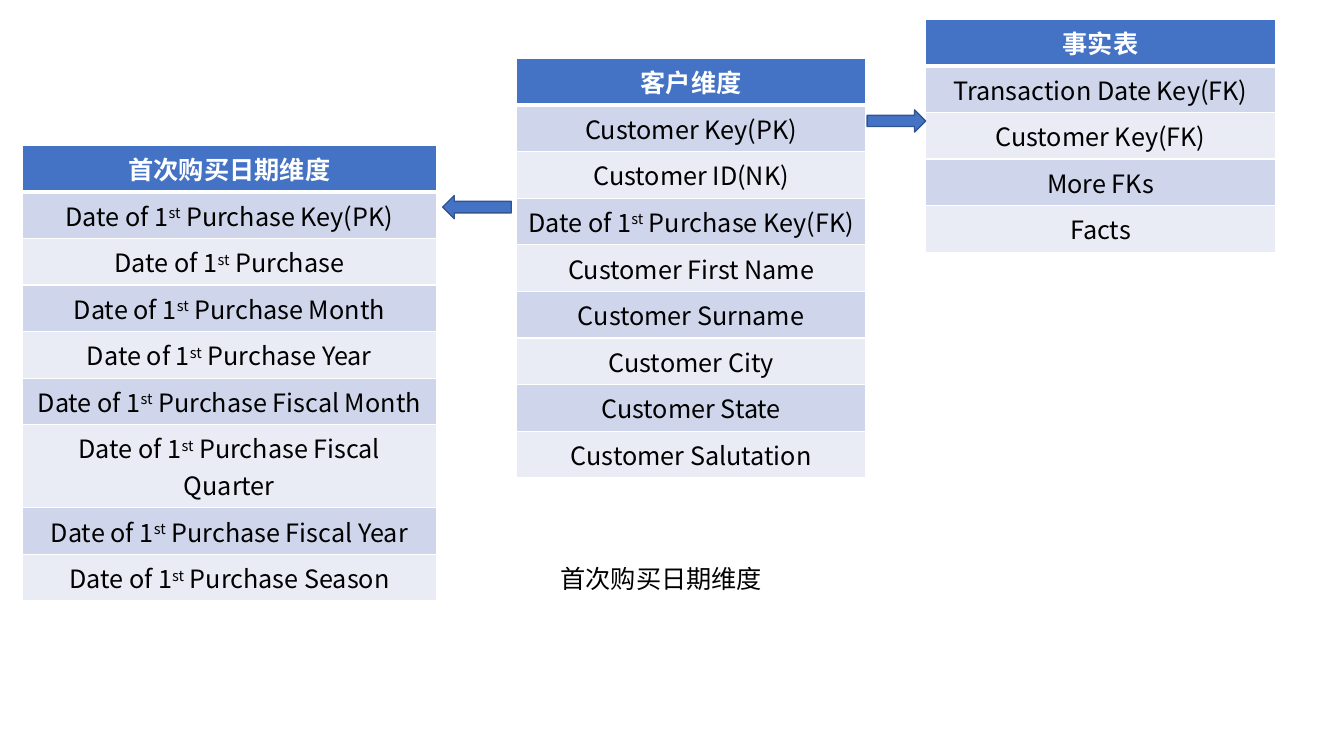
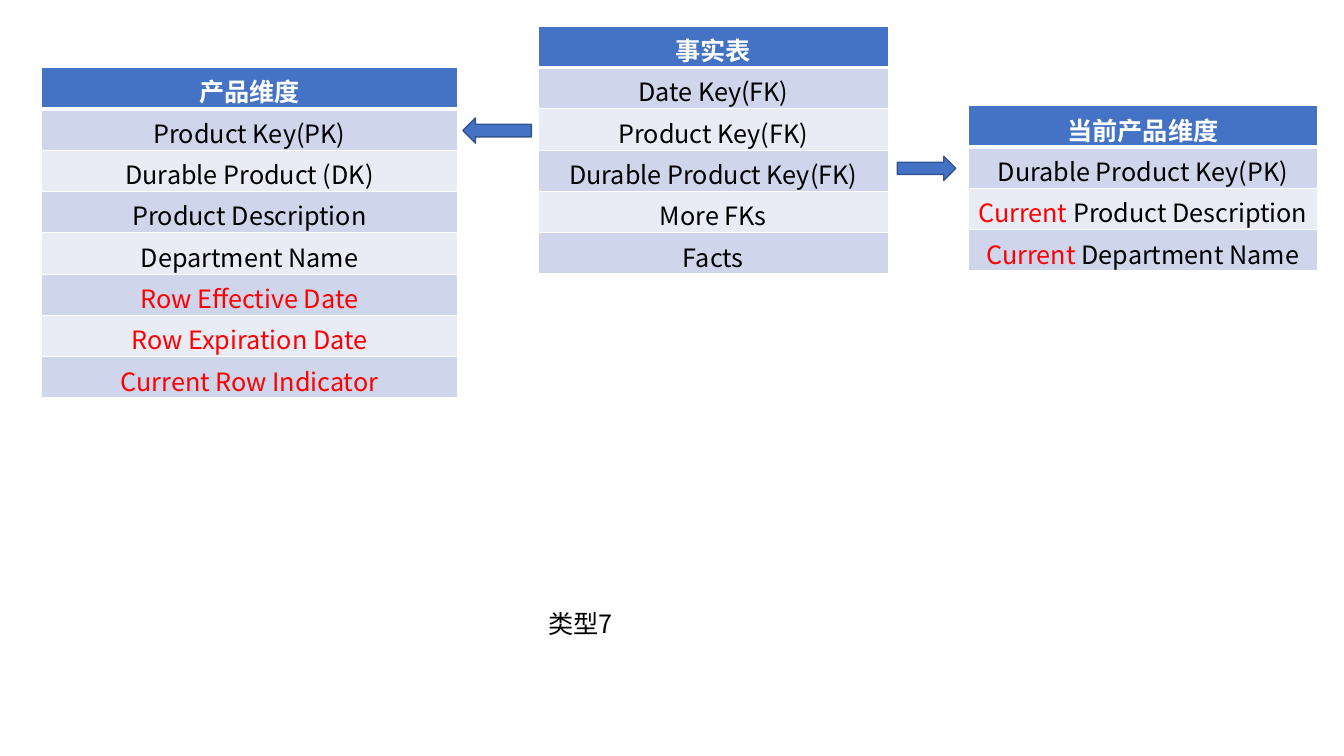
from pptx import Presentation
from pptx.dml.color import RGBColor
from pptx.enum.shapes import MSO_SHAPE as Preset
from pptx.enum.text import MSO_AUTO_SIZE as AutoSize, PP_ALIGN as Align
from pptx.oxml.ns import qn
from pptx.util import Inches, Pt
from lxml.etree import SubElement

FONT = "Noto Sans CJK SC"
BLACK, WHITE, RED = "000000", "FFFFFF", "FF0000"
BLUE, DARK_BLUE = "4472C4", "325491"
BANDS = ("CFD5EA", "E9EBF5")
ROW_HEIGHT = 0.41
WIDE = 3.47


def color(value):
    """Turn a hex string into a colour."""
    return RGBColor.from_string(value)


def add_run(paragraph, text, ink=BLACK, bold=False, superscript=False):
    """Add one formatted run to a paragraph."""
    run = paragraph.add_run()
    run.text = text
    run.font.size = Pt(18)
    run.font.bold = bold
    run.font.name = FONT
    run.font.color.rgb = color(ink)
    properties = run.font._element
    SubElement(properties, qn("a:ea"), typeface=FONT)
    if superscript:
        properties.set("baseline", "30000")


def add_border(cell, side, points):
    """Draw a white border on one side of a cell."""
    properties = cell._tc.get_or_add_tcPr()
    line = SubElement(properties, qn("a:ln" + side), w=str(Pt(points)))
    fill = SubElement(line, qn("a:solidFill"))
    SubElement(fill, qn("a:srgbClr"), val=WHITE)


def format_cell(cell, runs, fill, is_header):
    """Fill a cell with centred runs, borders and a background."""
    borders = {"L": 1, "R": 1, "T": 1, "B": 3} if is_header else {"L": 1, "R": 1, "B": 1}
    for side, points in borders.items():
        add_border(cell, side, points)
    cell.fill.solid()
    cell.fill.fore_color.rgb = color(fill)
    paragraph = cell.text_frame.paragraphs[0]
    paragraph.alignment = Align.CENTER
    for text, style in runs:
        add_run(paragraph, text, **style)


def add_entity(slide, left, top, width, title, fields):
    """Add a one-column table with a header and banded fields."""
    rows = [[(title, {"ink": WHITE, "bold": True})]] + fields
    frame = slide.shapes.add_table(len(rows), 1, Inches(left), Inches(top),
                                   Inches(width), Inches(ROW_HEIGHT * len(rows)))
    for index, runs in enumerate(rows):
        fill = BANDS[(index - 1) % 2] if index else BLUE
        format_cell(frame.table.cell(index, 0), runs, fill, index == 0)


def add_arrow(slide, preset, left, top, width, height):
    """Add a block arrow."""
    arrow = slide.shapes.add_shape(preset, Inches(left), Inches(top),
                                   Inches(width), Inches(height))
    arrow.shadow.inherit = False
    arrow.fill.solid()
    arrow.fill.fore_color.rgb = color(BLUE)
    arrow.line.color.rgb = color(DARK_BLUE)
    arrow.line.width = Pt(1)


def add_caption(slide, text, left, top, width):
    """Add the caption under the tables."""
    box = slide.shapes.add_textbox(Inches(left), Inches(top), Inches(width), Inches(0.4))
    box.text_frame.word_wrap = False
    box.text_frame.auto_size = AutoSize.SHAPE_TO_FIT_TEXT
    add_run(box.text_frame.paragraphs[0], text)


def plain(*names):
    """Make one black field from each name."""
    return [[(name, {})] for name in names]


def red(*names):
    """Make one red field from each name."""
    return [[(name, {"ink": RED})] for name in names]


def first_purchase(*endings):
    """Make one first-purchase field from each ending."""
    return [[("Date of 1", {}), ("st", {"superscript": True}), (" Purchase " + ending if ending else " Purchase", {})]
            for ending in endings]


def current(*names):
    """Make fields whose leading word is red."""
    return [[("Current", {"ink": RED}), (" " + name, {})] for name in names]


def build_first_purchase_slide(slide):
    """Build the slide on the first purchase date dimension."""
    add_entity(slide, 5.12, 0.58, WIDE, "客户维度",
               plain("Customer Key(PK)", "Customer ID(NK)") + first_purchase("Key(FK)")
               + plain("Customer First Name", "Customer Surname", "Customer City",
                       "Customer State", "Customer Salutation"))
    add_entity(slide, 9.18, 0.19, WIDE, "事实表",
               plain("Transaction Date Key(FK)", "Customer Key(FK)", "More FKs", "Facts"))
    add_entity(slide, 0.22, 1.44, 4.11, "首次购买日期维度",
               first_purchase("Key(PK)", "", "Month", "Year", "Fiscal Month",
                              "Fiscal Quarter", "Fiscal Year", "Season"))
    add_arrow(slide, Preset.RIGHT_ARROW, 8.6, 1.09, 0.58, 0.22)
    add_arrow(slide, Preset.LEFT_ARROW, 4.39, 1.94, 0.68, 0.23)
    add_caption(slide, "首次购买日期维度", 5.46, 5.54, 2.22)


def build_type_seven_slide(slide):
    """Build the slide on the type 7 dimension."""
    add_entity(slide, 0.41, 0.67, 4.13, "产品维度",
               plain("Product Key(PK)", "Durable Product (DK)", "Product Description",
                     "Department Name")
               + red("Row Effective Date", "Row Expiration Date", "Current Row Indicator"))
    add_entity(slide, 5.34, 0.26, WIDE, "事实表",
               plain("Date Key(FK)", "Product Key(FK)", "Durable Product Key(FK)",
                     "More FKs", "Facts"))
    add_entity(slide, 9.6, 1.05, WIDE, "当前产品维度",
               plain("Durable Product Key(PK)")
               + current("Product Description", "Department Name"))
    add_caption(slide, "类型7", 5.34, 5.99, 0.84)
    add_arrow(slide, Preset.RIGHT_ARROW, 8.9, 1.55, 0.58, 0.24)
    add_arrow(slide, Preset.LEFT_ARROW, 4.59, 1.17, 0.68, 0.25)


def main():
    """Build and save the presentation."""
    presentation = Presentation()
    presentation.slide_width = Inches(13.33)
    presentation.slide_height = Inches(7.5)
    blank = presentation.slide_layouts[6]
    for build in (build_first_purchase_slide, build_type_seven_slide):
        build(presentation.slides.add_slide(blank))
    presentation.save("out.pptx")


main()
